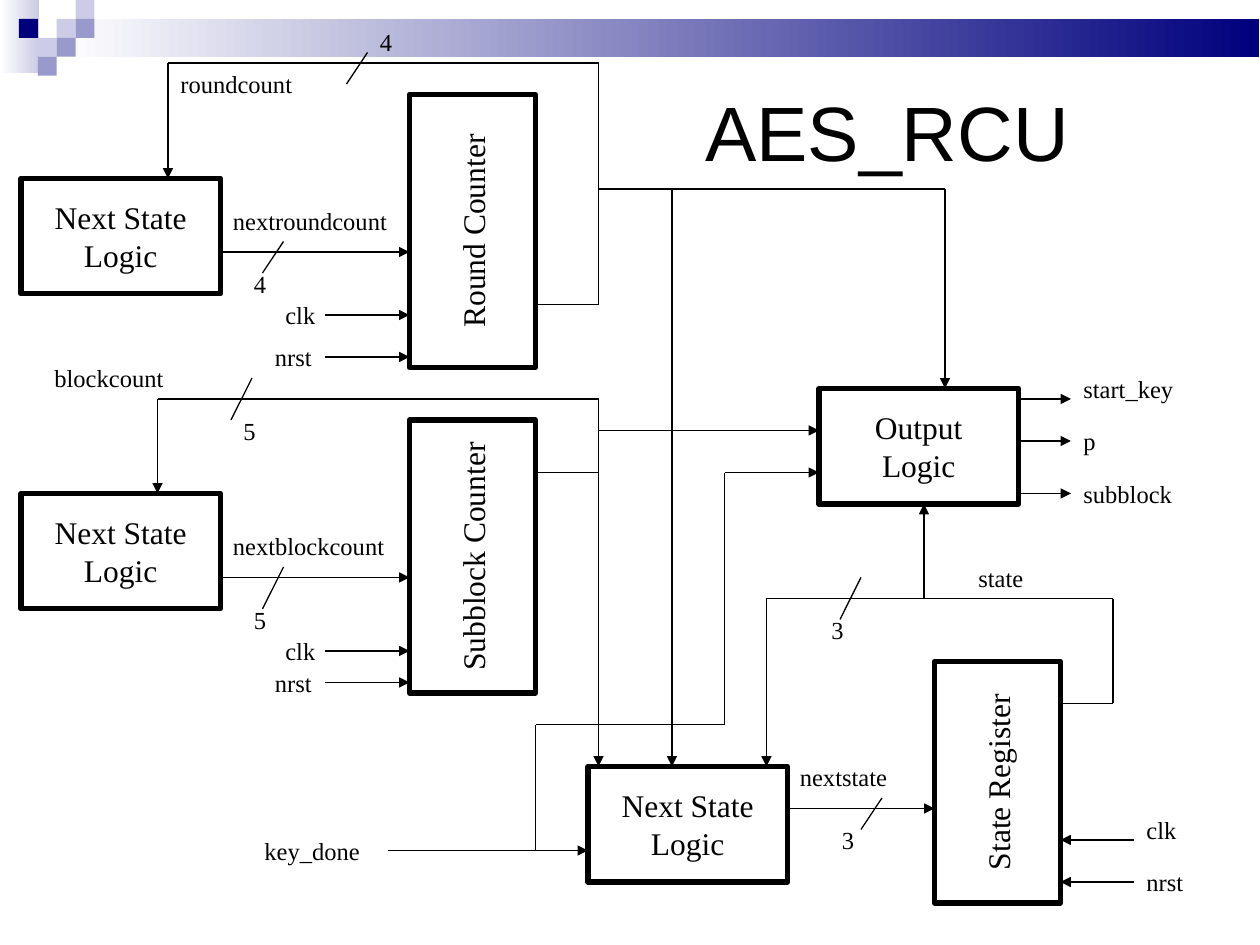
import dataclasses
import itertools

import lxml.etree
import pptx
import pptx.dml.color
import pptx.enum.shapes
import pptx.enum.text
import pptx.oxml.ns
import pptx.slide
import pptx.util

PX = 7620  # EMU per px: 120 px to the inch, so the drawing grid is 10 px
COLORS = {"ink": "000000", "paper": "FFFFFF", "navy": "00007D",
          "mid": "9999CC", "light": "CCCCE6"}
SERIF, SANS = "Times New Roman", "Arial"
LOGIC_SIZE = (190, 110)


def px(length):
    return pptx.util.Emu(length * PX)


def color(name):
    return pptx.dml.color.RGBColor.from_string(COLORS[name])


def set_font(paragraph, name, size):
    paragraph.font.name = name
    paragraph.font.size = pptx.util.Pt(size)
    paragraph.font.color.rgb = color("ink")


def add_drawing_tag(parent, tag, **attributes):
    lxml.etree.SubElement(parent, pptx.oxml.ns.qn(tag), attributes)


@dataclasses.dataclass
class Region:
    """Part of the slide; everything in it is placed relative to left, top."""
    slide: pptx.slide.Slide
    left: int
    top: int

    def rectangle(self, x, y, width, height):
        shape = self.slide.shapes.add_shape(
            pptx.enum.shapes.MSO_SHAPE.RECTANGLE,
            px(self.left + x), px(self.top + y), px(width), px(height))
        shape.shadow.inherit = False
        shape.line.fill.background()
        return shape

    def tile(self, x, y, width, height, fill):
        shape = self.rectangle(x, y, width, height)
        shape.fill.solid()
        shape.fill.fore_color.rgb = color(fill)

    def fade(self, x, y, width, height, fill):
        """Rectangle fading from its colour at the right to white."""
        shape = self.rectangle(x, y, width, height)
        shape.fill.gradient()
        shape.fill.gradient_angle = 180
        for stop, name in zip(shape.fill.gradient_stops, (fill, "paper")):
            stop.color.rgb = color(name)

    def block(self, x, y, width, height, text, vertical=False):
        shape = self.rectangle(x, y, width, height)
        shape.fill.solid()
        shape.fill.fore_color.rgb = color("paper")
        shape.line.color.rgb = color("ink")
        shape.line.width = pptx.util.Pt(3)
        frame = shape.text_frame
        frame.word_wrap = False
        frame.vertical_anchor = pptx.enum.text.MSO_ANCHOR.MIDDLE
        frame.text = text
        for paragraph in frame.paragraphs:
            paragraph.alignment = pptx.enum.text.PP_ALIGN.CENTER
            set_font(paragraph, SERIF, 18)
        if vertical:
            frame._txBody.bodyPr.set("vert", "vert270")

    def text_box(self, x, y, width, height, text, font, size):
        box = self.slide.shapes.add_textbox(
            px(self.left + x), px(self.top + y), px(width), px(height))
        frame = box.text_frame
        frame.word_wrap = True
        frame.text = text
        set_font(frame.paragraphs[0], font, size)
        return frame

    def label(self, x, y, text, width=40):
        self.text_box(x, y, width, 40, text, SERIF, 14)

    def route(self, *points, arrow=True):
        """Straight lines through the points, with an arrowhead at the end."""
        for start, end in itertools.pairwise(points):
            connector = self.slide.shapes.add_connector(
                pptx.enum.shapes.MSO_CONNECTOR.STRAIGHT,
                px(self.left + start[0]), px(self.top + start[1]),
                px(self.left + end[0]), px(self.top + end[1]))
            connector.line.color.rgb = color("ink")
            connector.line.width = pptx.util.Pt(0.75)
            properties = connector._element.spPr
            if arrow and end == points[-1]:
                add_drawing_tag(properties.find(pptx.oxml.ns.qn("a:ln")),
                                "a:tailEnd", type="triangle")
            add_drawing_tag(properties, "a:effectLst")

    def slash(self, x, y, height):
        """Bus-width mark, from its upper right end."""
        self.route((x, y), (x - 20, y + height), arrow=False)


def draw_header(region):
    region.fade(0, 0, 37, 70, "light")
    region.fade(54, 18, 1145, 36, "navy")
    tile = 18
    for column, row, fill in [(3, 1, "light"), (4, 0, "light"), (4, 1, "mid"),
                              (2, 2, "light"), (1, 1, "navy"), (3, 2, "mid"),
                              (2, 3, "mid")]:
        region.tile(column * tile, row * tile, tile, tile, fill)


def draw_title(region):
    frame = region.text_box(0, 0, 540, 150, "AES_RCU", SANS, 44)
    frame.vertical_anchor = pptx.enum.text.MSO_ANCHOR.MIDDLE
    frame.paragraphs[0].line_spacing = 0.71


def draw_counter(region, name, signal, bits, logic_top, clock_y, output_y,
                 feedback, slash_height):
    """Counter with its next-state logic; feedback is the (x, y) of its corner."""
    logic_left, counter_left, next_y, reset_y = 20, 390, 150, 250
    logic_right = logic_left + LOGIC_SIZE[0]
    region.block(logic_left, logic_top, *LOGIC_SIZE, "Next State\nLogic")
    region.block(counter_left, 0, 120, 260, name, vertical=True)

    # Next value
    region.route((logic_right, next_y), (counter_left, next_y))
    region.label(logic_right, next_y - 50, "next" + signal, 200)
    region.slash(270, next_y - 10, slash_height)
    region.label(230, next_y - 20 + slash_height, bits)

    # Clock and reset
    for text, x, y in [("clk", 260, clock_y), ("nrst", 250, reset_y)]:
        region.route((310, y), (counter_left, y))
        region.label(x, y - 20, text, 70)

    # Feedback to the logic
    corner_x, corner_y = feedback
    region.route((510, output_y), (570, output_y), (570, corner_y),
                 (corner_x, corner_y), (corner_x, logic_top))


def draw_output_logic(region):
    region.block(0, 0, *LOGIC_SIZE, "Output\nLogic")
    for text, arrow_y, label_y in [("start_key", 10, -20), ("p", 50, 30),
                                   ("subblock", 100, 80)]:
        region.route((190, arrow_y), (240, arrow_y))
        region.label(240, label_y, text, 130)


def draw_state_machine(region):
    region.block(0, 250, *LOGIC_SIZE, "Next State\nLogic")
    region.block(330, 150, 120, 230, "State Register", vertical=True)

    # Next state
    region.route((190, 290), (330, 290))
    region.label(190, 240, "nextstate", 130)
    region.slash(280, 280, 30)
    region.label(230, 300, "3")

    # State, fed back and up to the output logic
    region.route((450, 190), (500, 190), (500, 90), (170, 90), (170, 250))
    region.route((320, 90), (320, 0))
    region.label(360, 50, "state", 120)
    region.slash(260, 70, 40)
    region.label(220, 100, "3")

    # Clock and reset
    for text, arrow_y, label_y in [("clk", 320, 290), ("nrst", 360, 340)]:
        region.route((520, arrow_y), (450, arrow_y))
        region.label(520, label_y, text, 90)


def draw_shared_signals(region):
    # Round count
    region.route((570, 180), (900, 180), (900, 370))
    region.route((640, 180), (640, 730))
    region.label(160, 60, "roundcount", 170)
    region.slash(350, 50, 30)
    region.label(350, 20, "4", 50)
    # Block count
    region.route((570, 450), (570, 730))
    region.route((570, 410), (780, 410))
    region.label(40, 340, "blockcount", 140)
    region.slash(240, 360, 40)
    region.label(220, 390, "5")
    # Key done
    region.label(240, 790, "key_done", 140)
    region.route((370, 810), (560, 810))
    region.route((510, 810), (510, 690), (690, 690), (690, 450), (780, 450))


def main():
    presentation = pptx.Presentation()
    presentation.slide_width, presentation.slide_height = px(1200), px(900)
    slide = presentation.slides.add_slide(presentation.slide_layouts[6])
    draw_header(Region(slide, 0, 0))
    draw_title(Region(slide, 660, 60))
    draw_counter(Region(slide, 0, 90), "Round Counter", "roundcount", "4",
                 logic_top=80, clock_y=210, output_y=200,
                 feedback=(160, -30), slash_height=30)
    draw_counter(Region(slide, 0, 400), "Subblock Counter", "blockcount", "5",
                 logic_top=70, clock_y=220, output_y=50,
                 feedback=(150, -20), slash_height=40)
    draw_output_logic(Region(slide, 780, 370))
    draw_state_machine(Region(slide, 560, 480))
    draw_shared_signals(Region(slide, 0, 0))
    presentation.save("out.pptx")


if __name__ == "__main__":
    main()
